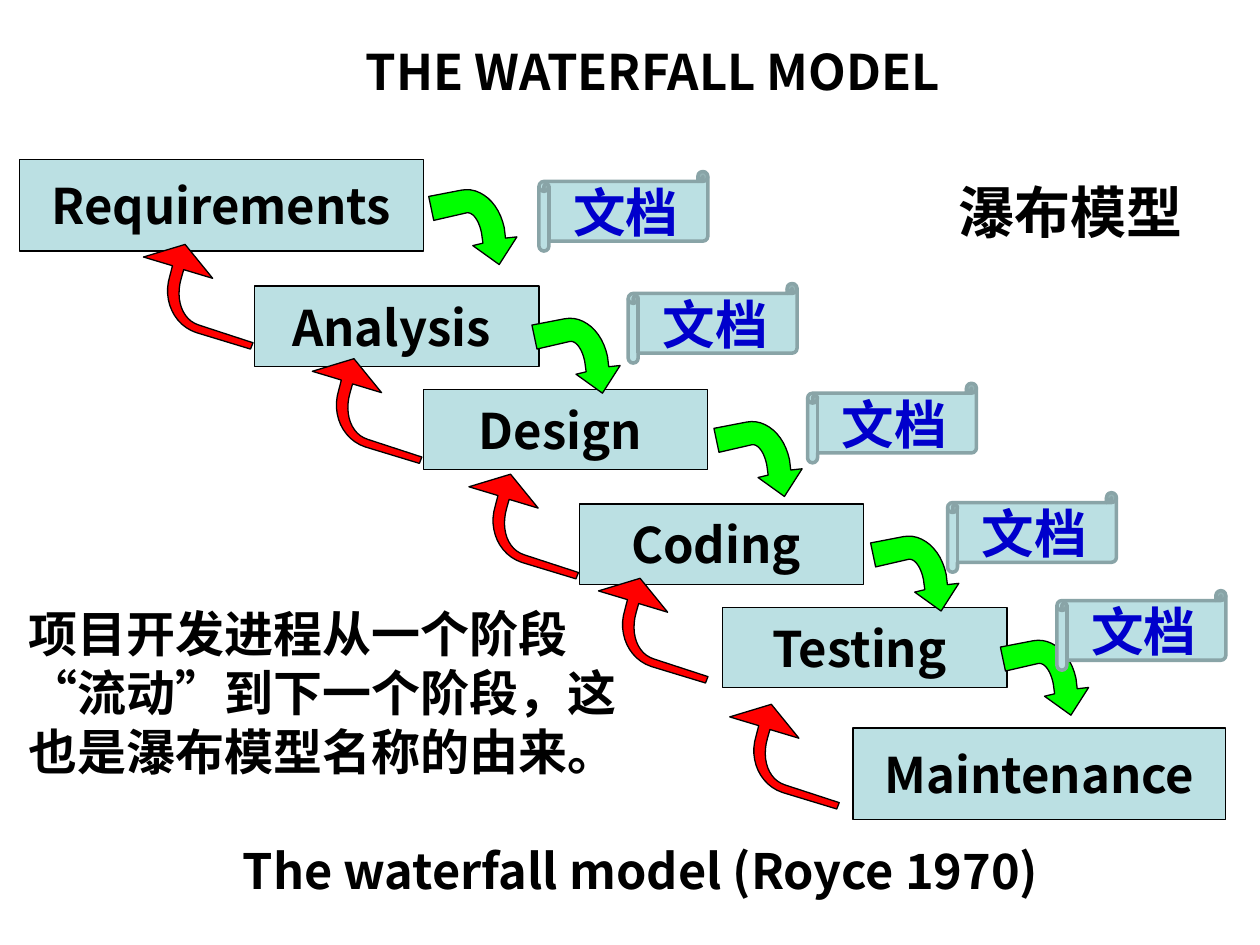
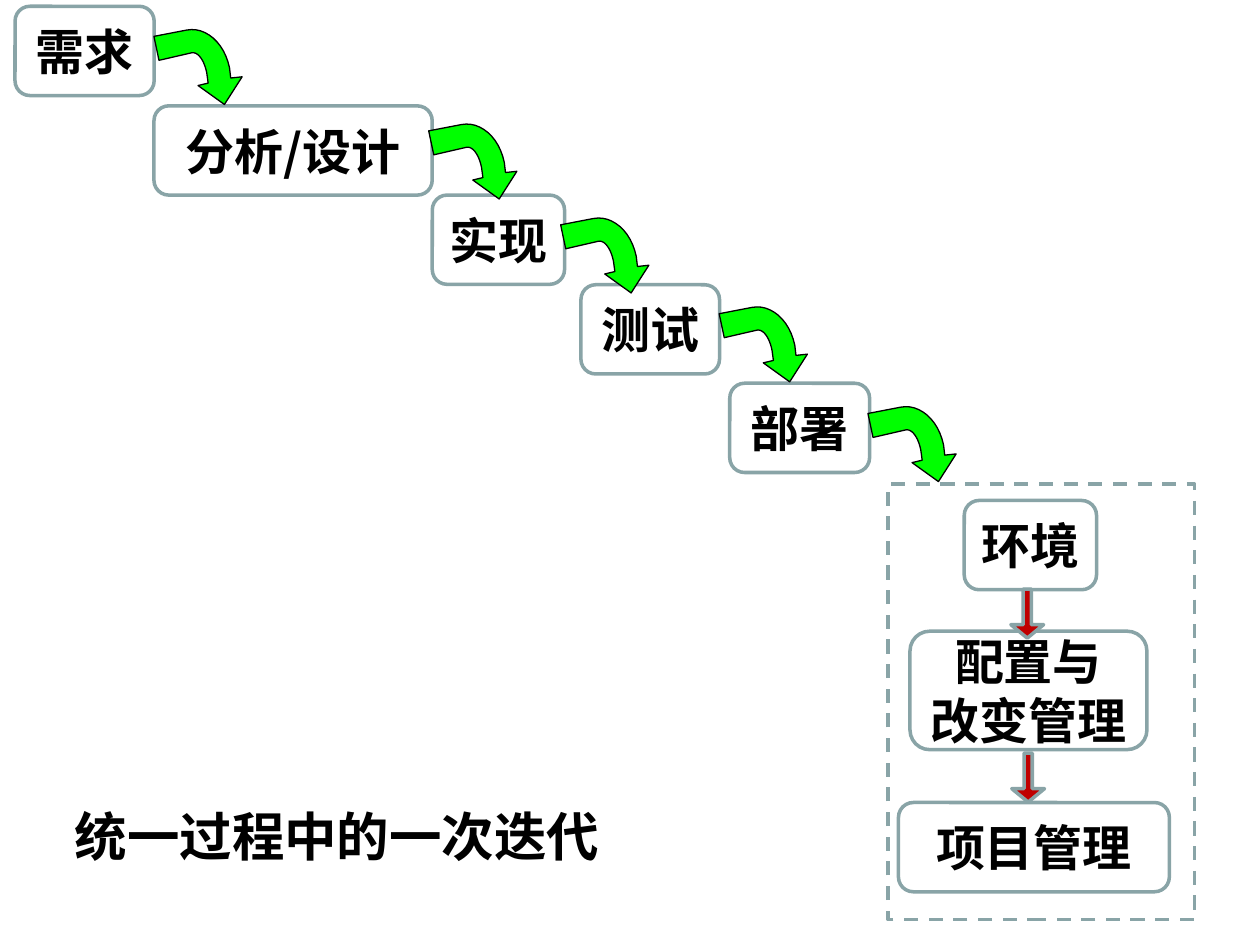
from dataclasses import dataclass

from lxml.etree import SubElement
from pptx import Presentation
from pptx.dml.color import RGBColor as Rgb
from pptx.enum.dml import MSO_LINE_DASH_STYLE as Dash
from pptx.enum.shapes import MSO_SHAPE as Preset
from pptx.enum.text import MSO_ANCHOR as Anchor, MSO_AUTO_SIZE as AutoSize, PP_ALIGN as Align
from pptx.oxml.ns import qn
from pptx.util import Pt


@dataclass(frozen=True)
class Theme:
    font: str = "Noto Sans CJK SC"
    ink: str = "000000"
    document: str = "0000CC"
    pale: str = "BBE0E3"
    border: str = "89A4A7"
    forward: str = "00FF00"
    back: str = "FF0000"
    support: str = "C00000"
    thin: float = 0.75
    thick: float = 2
    caption: float = 27.8
    normal: float = 28
    large: float = 30
    heading: float = 32


THEME = Theme()

FORWARD_OUTLINE = [
    (40.3, 43.2), (50.4, 27.4), (43.9, 28.1), (43.2, 22.3),
    ((40.3, 7.9), (29.5, -1.4), (18.7, 0.7)),
    (0, 4.3), (2.9, 18), (21.6, 13.7),
    ((25.2, 13), (28.8, 18), (30.2, 25.2)),
    (31, 31), (25.2, 32.4),
]
BACK_OUTLINE = [
    (23.8, 0), (0, 7.2), (16.6, 12.2), (15.1, 18),
    ((10.8, 31.7), (17.3, 46.1), (30.2, 50.4)),
    (61.2, 59.8), (62.6, 56.2), (31.7, 46.1),
    ((22.3, 43.2), (18, 31.7), (21.6, 19.4)),
    (23, 14.4), (39.6, 19.4),
]


def assign(target, values):
    for name, value in values.items():
        setattr(target, name, value)


def curve_points(start, controls, steps=12):
    for step in range(1, steps + 1):
        t = step / steps
        u = 1 - t
        yield tuple(
            u ** 3 * a + 3 * u * u * t * b + 3 * u * t * t * c + t ** 3 * d
            for a, b, c, d in zip(start, *controls)
        )


def flatten(outline):
    points = []
    for part in outline:
        if isinstance(part[0], tuple):
            points.extend(curve_points(points[-1], part))
        else:
            points.append(part)
    return points


class Deck:
    def __init__(self, theme):
        self.theme = theme
        self.presentation = Presentation()
        assign(self.presentation, {"slide_width": Pt(720), "slide_height": Pt(540)})
        self.slide = None

    def new_slide(self, layout):
        self.slide = self.presentation.slides.add_slide(
            self.presentation.slide_layouts[layout])

    def set_text(self, shape, text, size, color=None, align=Align.CENTER,
                 anchor=Anchor.MIDDLE, wrap=True):
        frame = shape.text_frame
        assign(frame, {
            "text": text, "word_wrap": wrap, "auto_size": AutoSize.NONE,
            "vertical_anchor": anchor,
            "margin_left": Pt(7.2), "margin_right": Pt(7.2),
            "margin_top": Pt(3.6), "margin_bottom": Pt(3.6),
        })
        for paragraph in frame.paragraphs:
            assign(paragraph, {"alignment": align, "space_before": Pt(0)})
            for run in paragraph.runs:
                assign(run.font, {"name": self.theme.font, "size": Pt(size), "bold": True})
                run.font.color.rgb = Rgb.from_string(color or self.theme.ink)
                SubElement(run.font._element, qn("a:ea"), typeface=self.theme.font)

    def paint(self, shape, fill, line, width):
        shape.shadow.inherit = False
        if fill:
            shape.fill.solid()
            shape.fill.fore_color.rgb = Rgb.from_string(fill)
        else:
            shape.fill.background()
        shape.line.color.rgb = Rgb.from_string(line)
        shape.line.width = Pt(width)

    def placeholder(self, index, box, text, size, **style):
        holder = self.slide.placeholders[index]
        assign(holder, dict(zip(("left", "top", "width", "height"), map(Pt, box))))
        self.set_text(holder, text, size, **style)
        return holder

    def title(self, box, text):
        self.placeholder(0, box, text, self.theme.normal)

    def caption(self, box, text):
        holder = self.placeholder(1, box, text, self.theme.caption, anchor=Anchor.TOP)
        paragraph = holder.text_frame.paragraphs[0]
        paragraph.line_spacing = 0.6
        properties = paragraph._p.get_or_add_pPr()
        properties.set("marL", "0")
        properties.set("indent", "0")
        SubElement(properties, qn("a:buNone"))

    def label(self, box, text, size, **style):
        self.set_text(self.slide.shapes.add_textbox(*map(Pt, box)), text, size, **style)

    def shape(self, preset, box, fill=None, line=None, width=None):
        shape = self.slide.shapes.add_shape(preset, *map(Pt, box))
        self.paint(shape, fill, line or self.theme.border, width or self.theme.thick)
        return shape

    def phase(self, box, text):
        phase = self.shape(Preset.RECTANGLE, box, self.theme.pale,
                           self.theme.ink, self.theme.thin)
        self.set_text(phase, text, self.theme.normal, wrap=False)

    def workflow(self, box, text):
        workflow = self.shape(Preset.ROUNDED_RECTANGLE, box)
        self.set_text(workflow, text, self.theme.normal)

    def document(self, left, top):
        scroll = self.shape(Preset.HORIZONTAL_SCROLL, (left, top, 96.5, 45.5), self.theme.pale)
        self.set_text(scroll, "文档", self.theme.large, color=self.theme.document)

    def support_arrow(self, left, top):
        arrow = self.shape(Preset.RIGHT_ARROW, (left, top, 28, 18.7), self.theme.support)
        arrow.rotation = 90
        arrow.adjustments[0] = 0.25
        arrow.adjustments[1] = 0.41

    def bent_arrows(self, outline, fill, origins):
        points = flatten(outline)
        for left, top in origins:
            corners = [((left + x) * 100, (top + y) * 100) for x, y in points]
            builder = self.slide.shapes.build_freeform(*corners[0], scale=Pt(1) / 100)
            builder.add_line_segments(corners[1:], close=True)
            self.paint(builder.convert_to_shape(), fill, self.theme.ink, self.theme.thin)


def waterfall_slide(deck):
    deck.new_slide(1)
    deck.caption((59.8, 488.9, 612.7, 31), "The waterfall model (Royce 1970)")
    phases = [
        ("Requirements", 11, 91, 231, 52.5),
        ("Analysis ", 145.5, 163.5, 162.5, 46),
        ("Design ", 242, 222.5, 162.5, 46),
        ("Coding ", 331, 288, 162.5, 46),
        ("Testing ", 413, 347, 162.5, 46),
        ("Maintenance", 487.5, 416, 213, 52.5),
    ]
    for name, *box in phases:
        deck.phase(box, name)
    deck.bent_arrows(FORWARD_OUTLINE, THEME.forward, [
        (245, 108), (304, 181.5), (408, 240.5), (497.5, 306), (571.7, 365.5)])
    deck.bent_arrows(BACK_OUTLINE, THEME.back, [
        (417, 402.5), (342, 330.5), (268, 271), (178.5, 205), (82, 139.7)])
    deck.title((136.8, 15.8, 472.3, 49.7), "THE WATERFALL MODEL")
    deck.label((540.7, 98, 142.6, 46), "瀑布模型", THEME.heading,
               align=Align.LEFT, anchor=Anchor.TOP, wrap=False)
    deck.label((9.4, 341.3, 350, 108),
               "项目开发进程从一个阶段\n“流动”到下一个阶段，这\n也是瀑布模型名称的由来。",
               THEME.normal, align=Align.LEFT, wrap=False)
    for left, top in [(308, 98), (359, 162), (461.5, 219), (541.5, 281.5), (604, 337.5)]:
        deck.document(left, top)


def iteration_slide(deck):
    deck.new_slide(6)
    workflows = [
        ("需求", 8.6, 3.6, 79.5, 51),
        ("分析/设计", 88, 60.5, 159, 51),
        ("实现", 247, 111.5, 75.6, 51),
        ("测试", 332, 162.7, 79.2, 51),
        ("部署", 417, 219, 79.9, 51),
        ("环境", 551, 286, 75.6, 51),
        ("配置与\n改变管理", 520, 360.7, 135.4, 67.7),
        ("项目管理", 513.4, 458.6, 154.8, 51),
    ]
    for name, *box in workflows:
        deck.workflow(box, name)
    deck.support_arrow(573, 341.3)
    support_group = deck.shape(Preset.RECTANGLE, (507.6, 276.5, 175, 249))
    support_group.line.dash_style = Dash.DASH
    deck.label((25.2, 455.8, 334.8, 43.2), "统一过程中的一次迭代", THEME.large, anchor=Anchor.TOP)
    deck.bent_arrows(FORWARD_OUTLINE, THEME.forward, [
        (88, 16.5), (245, 70.5), (320.4, 124.2), (411, 175), (496, 232)])
    deck.support_arrow(573.5, 435)


def main():
    deck = Deck(THEME)
    waterfall_slide(deck)
    iteration_slide(deck)
    deck.presentation.save("out.pptx")


if __name__ == "__main__":
    main()
